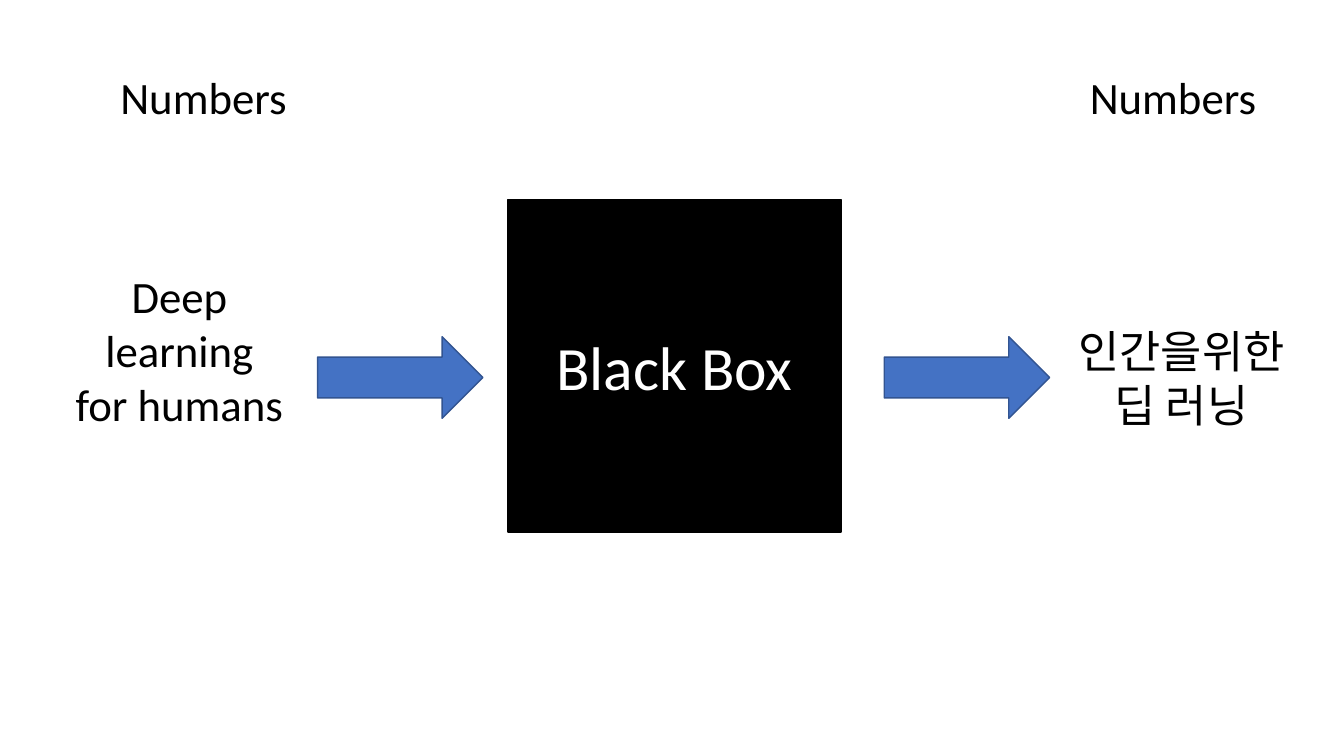
from pptx import Presentation
from pptx.dml.color import RGBColor
from pptx.enum.shapes import MSO_SHAPE as Shape
from pptx.enum.text import MSO_ANCHOR as Anchor, MSO_AUTO_SIZE as AutoSize, PP_ALIGN as Align
from pptx.util import Inches, Pt

SLIDE_WIDTH, SLIDE_HEIGHT = 13.33, 7.5
FONT = "Calibri"
COLORS = {"black": "000000", "white": "FFFFFF", "arrow": "4472C4", "arrow_edge": "325491"}

# Text, left, top, width, height
LABELS = [
    ("Numbers", 0.89, 0.64, 2.26, 0.64),
    ("Numbers", 10.41, 0.64, 2.45, 0.64),
    ("Deep learning for humans", 0.65, 2.62, 2.26, 2.26),
    ("인간을위한 딥 러닝", 10.59, 3.16, 2.26, 1.18),
]
BOX_TEXT = "Black Box"
BOX_LEFT, BOX_TOP, BOX_SIDE = 5.04, 1.98, 3.3
ARROW_TOP, ARROW_WIDTH, ARROW_HEIGHT = 3.34, 1.64, 0.81
INPUT_GAP, OUTPUT_GAP = 0.25, 0.43


def color(name):
    return RGBColor.from_string(COLORS[name])


def write(shape, text, size=32, fill="black", anchor=Anchor.TOP, auto_size=AutoSize.NONE):
    frame = shape.text_frame
    frame.word_wrap = True
    frame.auto_size = auto_size
    frame.vertical_anchor = anchor
    paragraph = frame.paragraphs[0]
    paragraph.alignment = Align.CENTER
    run = paragraph.add_run()
    run.text = text
    run.font.name = FONT
    run.font.size = Pt(size)
    run.font.color.rgb = color(fill)


def add_block(slide, kind, bounds, fill, edge):
    shape = slide.shapes.add_shape(kind, *map(Inches, bounds))
    shape.shadow.inherit = False
    shape.fill.solid()
    shape.fill.fore_color.rgb = color(fill)
    shape.line.color.rgb = color(edge)
    shape.line.width = Pt(1)
    return shape


def main():
    presentation = Presentation()
    presentation.slide_width = Inches(SLIDE_WIDTH)
    presentation.slide_height = Inches(SLIDE_HEIGHT)
    slide = presentation.slides.add_slide(presentation.slide_layouts[6])

    box_bounds = (BOX_LEFT, BOX_TOP, BOX_SIDE, BOX_SIDE)
    black_box = add_block(slide, Shape.RECTANGLE, box_bounds, "black", "black")
    write(black_box, BOX_TEXT, size=44, fill="white", anchor=Anchor.MIDDLE)

    input_left = BOX_LEFT - INPUT_GAP - ARROW_WIDTH
    output_left = BOX_LEFT + BOX_SIDE + OUTPUT_GAP
    for left in (input_left, output_left):
        arrow_bounds = (left, ARROW_TOP, ARROW_WIDTH, ARROW_HEIGHT)
        add_block(slide, Shape.RIGHT_ARROW, arrow_bounds, "arrow", "arrow_edge")

    for text, *bounds in LABELS:
        label = slide.shapes.add_textbox(*map(Inches, bounds))
        write(label, text, auto_size=AutoSize.SHAPE_TO_FIT_TEXT)

    presentation.save("out.pptx")


if __name__ == "__main__":
    main()
